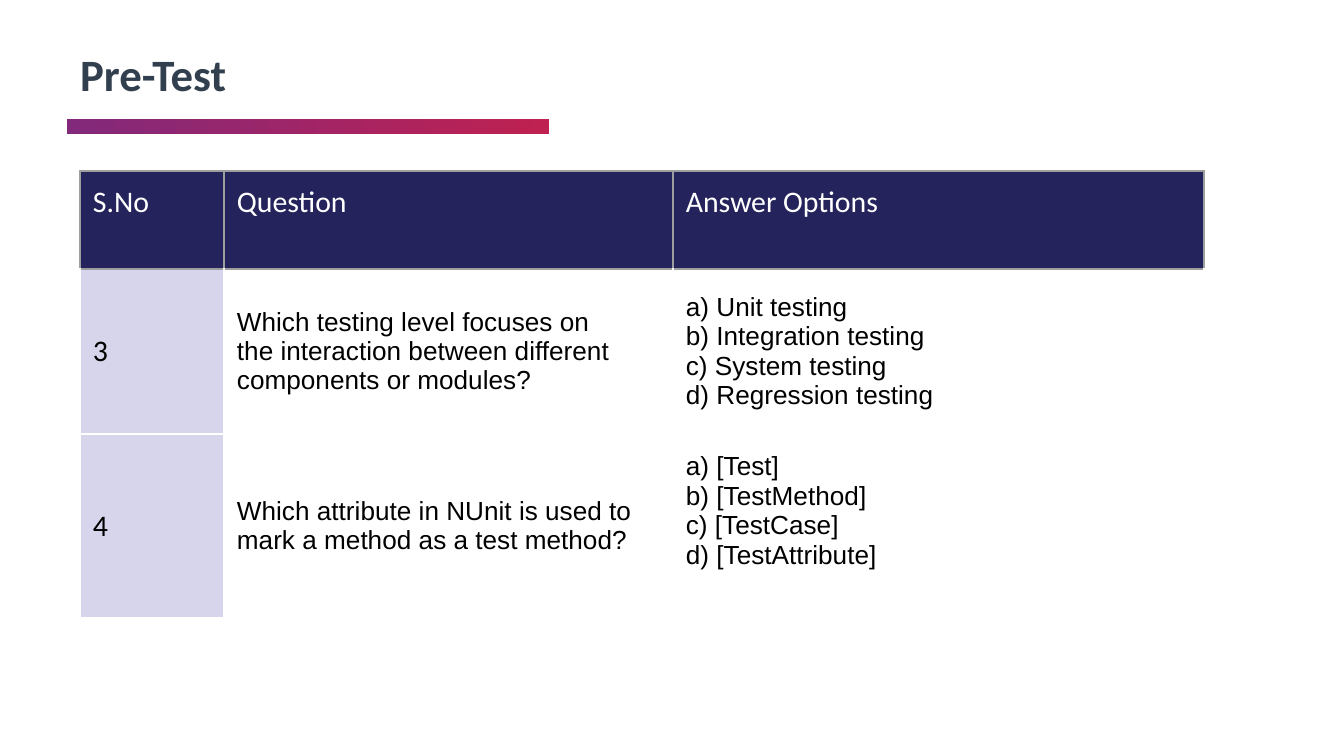
"""Build the Pre-Test slide with its table of questions and answer options."""
from dataclasses import dataclass

from lxml import etree
from pptx import Presentation
from pptx.dml.color import RGBColor
from pptx.enum.shapes import MSO_SHAPE
from pptx.enum.text import MSO_ANCHOR, PP_ALIGN
from pptx.oxml.ns import qn
from pptx.util import Pt

RECTANGLE = MSO_SHAPE.RECTANGLE
TOP, MIDDLE = MSO_ANCHOR.TOP, MSO_ANCHOR.MIDDLE
LEFT = PP_ALIGN.LEFT

TITLE = "Pre-Test"
HEADINGS = ["S.No", "Question", "Answer Options"]
QUESTIONS = [
    (
        "3",
        "Which testing level focuses on the interaction between different components or modules?",
        ["a) Unit testing", "b) Integration testing", "c) System testing", "d) Regression testing"],
    ),
    (
        "4",
        "Which attribute in NUnit is used to mark a method as a test method?",
        ["a) [Test]", "b) [TestMethod]", "c) [TestCase]", "d) [TestAttribute]"],
    ),
]

SCALE = 914400 / 134.4
PAGE_SIZE = (1344, 756)
TITLE_BOX = (67, 40, 441, 77)
BAR_BOX = (67, 119, 482, 15)
TABLE_ORIGIN = (80, 171)
COLUMN_WIDTHS = [144, 449, 531]
ROW_HEIGHTS = [98, 165, 184]
PAD, WIDE_PAD, LOW_PAD = 13, 40, 43


@dataclass(frozen=True)
class Theme:
    title: str = "323F4F"
    header: str = "25235B"
    number: str = "D6D5EB"
    white: str = "FFFFFF"
    black: str = "000000"
    grey: str = "9E9E9E"
    bar_start: str = "82297B"
    bar_end: str = "BF2151"
    heading_font: str = "Calibri"
    body_font: str = "Arial"
    title_size: int = 24
    heading_size: int = 16
    body_size: int = 14
    border: float = 0.75


THEME = Theme()


def px(length):
    return round(length * SCALE)


def color(value):
    return RGBColor.from_string(value)


def write(frame, text, *, font, size, ink, bold=False, spacing=1.0):
    lines = [text] if isinstance(text, str) else text
    for index, line in enumerate(lines):
        para = frame.add_paragraph() if index else frame.paragraphs[0]
        para.alignment = LEFT
        para.line_spacing = spacing
        para.space_before = para.space_after = Pt(0)
        span = para.add_run()
        span.text = line
        span.font.name = font
        span.font.size = Pt(size)
        span.font.bold = bold
        span.font.color.rgb = color(ink)


def set_margins(target, right=PAD, bottom=PAD):
    target.margin_left = target.margin_top = px(PAD)
    target.margin_right, target.margin_bottom = px(right), px(bottom)


def set_borders(cell, ink, top):
    properties = cell._tc.get_or_add_tcPr()
    for side, value in (("L", ink), ("R", ink), ("T", top), ("B", ink)):
        line = etree.SubElement(properties, qn(f"a:ln{side}"), w=str(Pt(THEME.border)))
        fill = etree.SubElement(line, qn("a:solidFill"))
        etree.SubElement(fill, qn("a:srgbClr"), val=value)


def fill_cell(cell, text, *, fill, border, top, anchor=MIDDLE, right=PAD, bottom=PAD, **style):
    set_margins(cell, right, bottom)
    cell.vertical_anchor = anchor
    set_borders(cell, border, top)
    if fill:
        cell.fill.solid()
        cell.fill.fore_color.rgb = color(fill)
    else:
        cell.fill.background()
    write(cell.text_frame, text, **style)


def add_title(page):
    box = page.shapes.title
    box.left, box.top, box.width, box.height = map(px, TITLE_BOX)
    frame = box.text_frame
    frame.word_wrap = True
    frame.vertical_anchor = TOP
    set_margins(frame)
    write(frame, TITLE, font=THEME.heading_font, size=THEME.title_size,
          ink=THEME.title, bold=True, spacing=0.9)


def add_bar(page):
    bar = page.shapes.add_shape(RECTANGLE, *map(px, BAR_BOX))
    bar.shadow.inherit = False
    bar.line.fill.background()
    bar.fill.gradient()
    bar.fill.gradient_angle = 0
    for stop, value in zip(bar.fill.gradient_stops, (THEME.bar_start, THEME.bar_end)):
        stop.color.rgb = color(value)


def add_questions(page):
    size = (sum(COLUMN_WIDTHS), sum(ROW_HEIGHTS))
    table = page.shapes.add_table(
        len(ROW_HEIGHTS), len(COLUMN_WIDTHS), *map(px, TABLE_ORIGIN + size)).table
    table.first_row = True
    table.horz_banding = False
    for column, width in zip(table.columns, COLUMN_WIDTHS):
        column.width = px(width)
    for row, height in zip(table.rows, ROW_HEIGHTS):
        row.height = px(height)

    heading = {"font": THEME.heading_font, "size": THEME.heading_size}
    body = {"font": THEME.body_font, "size": THEME.body_size, "right": WIDE_PAD}
    for index, text in enumerate(HEADINGS):
        fill_cell(table.cell(0, index), text, fill=THEME.header, border=THEME.grey,
                  top=THEME.grey, anchor=TOP, ink=THEME.white, **heading)
    for row, (number, question, options) in enumerate(QUESTIONS, 1):
        last = row == len(QUESTIONS)
        common = {"border": THEME.white, "ink": THEME.black,
                  "top": THEME.grey if row == 1 else THEME.white}
        fill_cell(table.cell(row, 0), number, fill=THEME.number, **heading, **common)
        fill_cell(table.cell(row, 1), question, fill=None, **body, **common)
        fill_cell(table.cell(row, 2), options, fill=None,
                  bottom=LOW_PAD if last else PAD, **body, **common)


def main():
    deck = Presentation()
    deck.slide_width, deck.slide_height = map(px, PAGE_SIZE)
    page = deck.slides.add_slide(deck.slide_layouts[5])
    add_bar(page)
    add_title(page)
    add_questions(page)
    deck.save("out.pptx")


if __name__ == "__main__":
    main()
